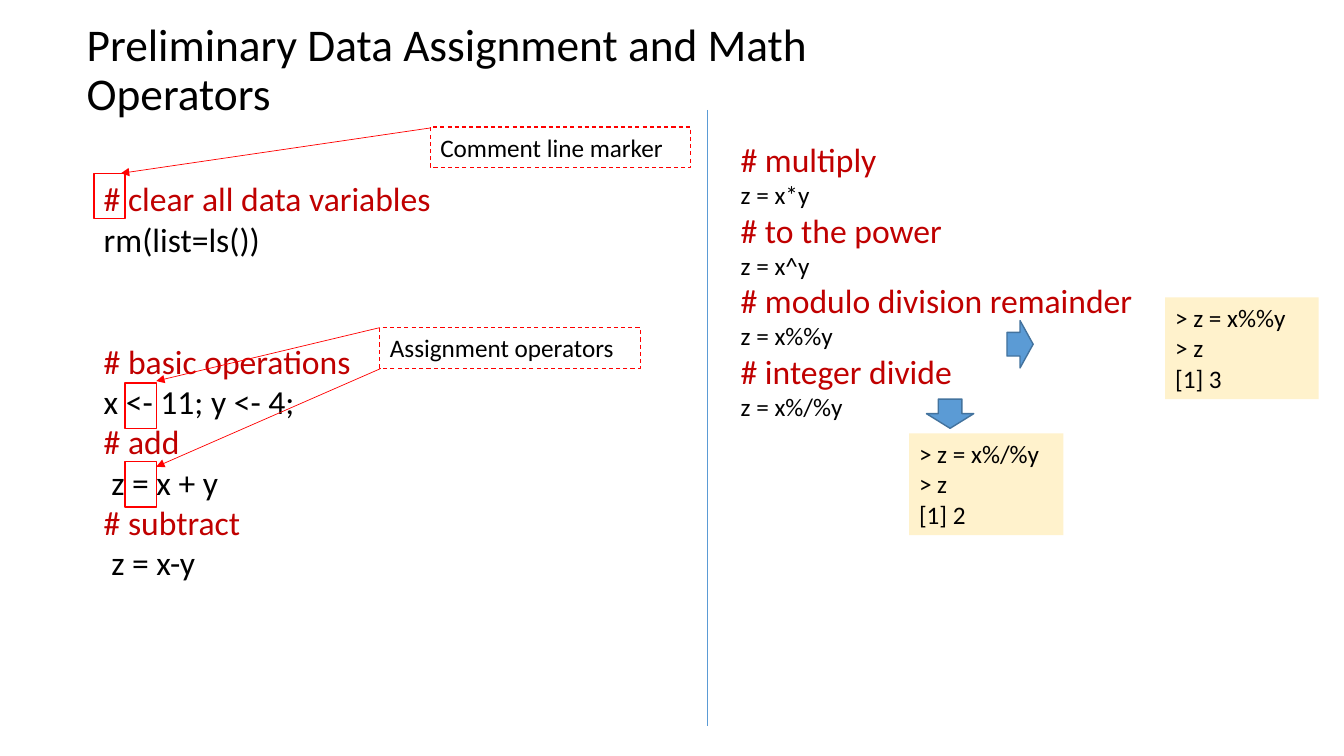
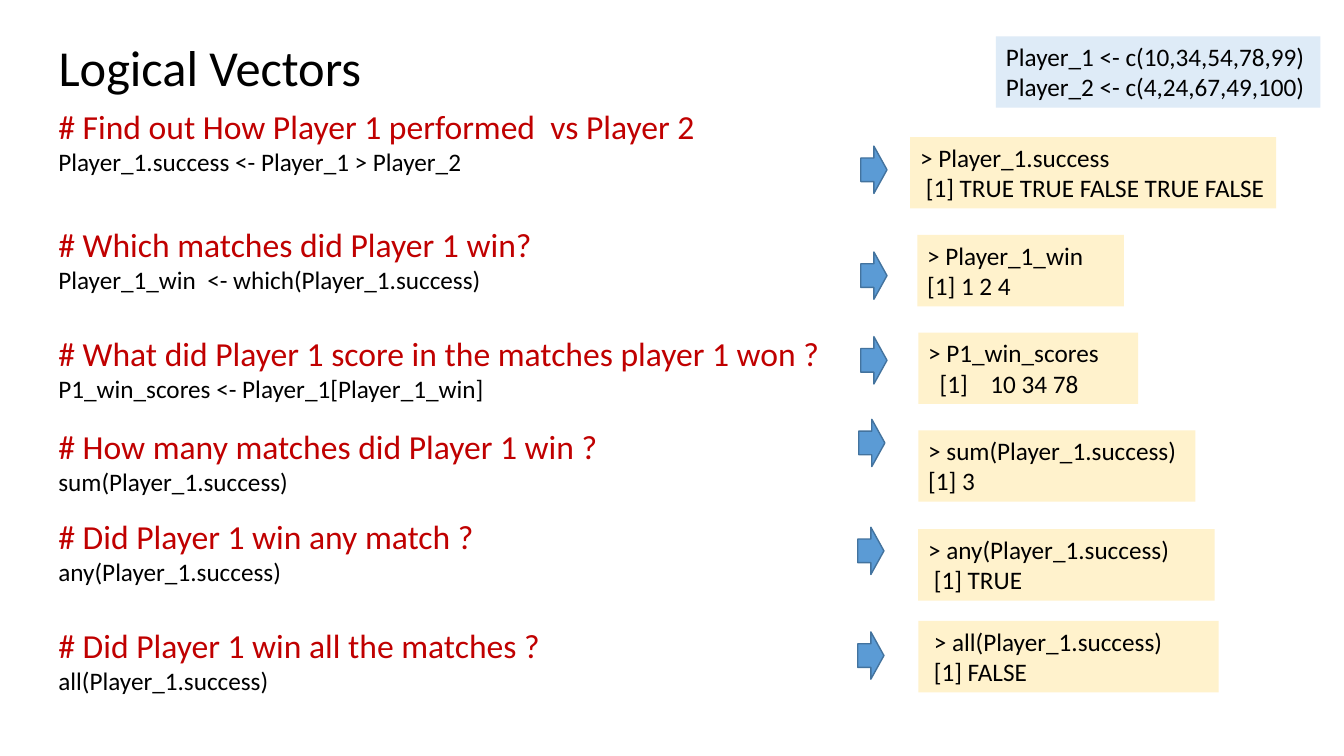
import pptx
import pptx.util
import pptx.dml.color
import pptx.enum.dml
import pptx.enum.shapes
import pptx.enum.text
import pptx.oxml

Pt = pptx.util.Pt
Shape = pptx.enum.shapes.MSO_SHAPE
FONT = "Calibri"
BLACK, NOTE, RED = "000000", "C00000", "FF0000"
BLUE, EDGE = "5B9BD5", "43739E"
CREAM, PALE = "FFF2CC", "DEEBF7"
ARROW = (18.7, 33.8)

# Slide 1: (left, top, width, height), code size, lines
BLOCKS = [
    ((67, 123.8, 480, 65.5), 24, ["# clear all data variables ", "rm(list=ls())"]),
    ((67, 239.8, 480, 181.4), 24, [
        "# basic operations", "x <- 11; y <- 4;", "# add", " z = x + y",
        "# subtract", " z = x-y "]),
    ((522, 95.8, 312.5, 211), 18, [
        "# multiply ", "z = x*y", "# to the power ", "z = x^y",
        "# modulo division remainder", "z = x%%y",
        "# integer divide ", "z = x%/%y"]),
]
MARKS = [(67, 123.8), (89.3, 273.6), (89.3, 329.8)]
LABELS = [(307.4, 90.7, "Comment line marker "),
          (271.4, 234, "Assignment operators")]
LEADS = [(307.4, 91.4, 86.4, 123.8), (271.4, 234, 111.6, 272.2),
         (271.4, 263.5, 111.6, 333.4)]
RESULTS = [((832.3, 212.4, 109.6, 72.7), ["> z = x%%y", "> z", "[1] 3"]),
           ((649.4, 309.6, 110.2, 72.7), ["> z = x%/%y", "> z", "[1] 2"])]

# Slide 2
DATA = ["Player_1 <- c(10,34,54,78,99)", "Player_2 <- c(4,24,67,49,100)"]
# (top, width, lines), (arrow left, top), (output left, top, width, lines)
ROWS = [
    ((72, 480, ["# Find out How Player 1 performed  vs Player 2 ",
                "Player_1.success <- Player_1 > Player_2"]),
     (614.9, 104.4),
     (650.2, 97.9, 261.4, ["> Player_1.success",
                           " [1] TRUE TRUE FALSE TRUE FALSE"])),
    ((156.2, 436.3, ["# Which matches did Player 1 win? ",
                     "Player_1_win  <- which(Player_1.success)"]),
     (614.9, 180),
     (655.2, 167.8, 147.6, ["> Player_1_win ", "[1] 1 2 4"])),
    ((234, 560.2, ["# What did Player 1 score in the matches player 1 won ?",
                   "P1_win_scores <- Player_1[Player_1_win]"]),
     (614.9, 240.5),
     (655.9, 237.6, 157, ["> P1_win_scores", "  [1]    10 34 78"])),
    ((301, 480, ["# How many matches did Player 1 win ?",
                 "sum(Player_1.success)"]),
     (613.4, 299.5),
     (655.9, 307.4, 198, ["> sum(Player_1.success) ", "[1] 3"])),
    ((365, 480, ["# Did Player 1 win any match ?", "any(Player_1.success)"]),
     (612.7, 376.6),
     (655.9, 378, 211.7, ["> any(Player_1.success)", " [1] TRUE"])),
    ((442.8, 480, ["# Did Player 1 win all the matches ?",
                   "all(Player_1.success)"]),
     (612.7, 451.4),
     (655.9, 443.5, 214.6, [" > all(Player_1.success)", " [1] FALSE"])),
]


def color(code):
    """Turn a hex string into a colour."""
    return pptx.dml.color.RGBColor.from_string(code)


def style(par, size, ink):
    """Set the font and left alignment of a paragraph."""
    par.alignment = pptx.enum.text.PP_ALIGN.LEFT
    par.font.name = FONT
    par.font.size = Pt(size)
    par.font.color.rgb = color(ink)


def write(shape, lines, size=18):
    """Fill a shape with lines; comment lines are large and red."""
    frame = shape.text_frame
    frame.word_wrap = True
    frame.auto_size = pptx.enum.text.MSO_AUTO_SIZE.SHAPE_TO_FIT_TEXT
    frame.vertical_anchor = pptx.enum.text.MSO_ANCHOR.TOP
    frame.text = "\n".join(lines)
    for par, line in zip(frame.paragraphs, lines):
        if line.startswith("#"):
            style(par, 24, NOTE)
        else:
            style(par, size, BLACK)


def start(deck, text, left, top, size):
    """Add a slide with its title."""
    slide = deck.slides.add_slide(deck.slide_layouts[5])
    title = slide.shapes.title
    title.left, title.top, title.width, title.height = map(
        Pt, (left, top, 660, 54))
    frame = title.text_frame
    frame.text = text
    frame.word_wrap = True
    frame.auto_size = pptx.enum.text.MSO_AUTO_SIZE.NONE
    frame.vertical_anchor = pptx.enum.text.MSO_ANCHOR.MIDDLE
    par = frame.paragraphs[0]
    par.line_spacing = 0.9
    style(par, size, BLACK)
    return slide.shapes


def code(shapes, box, lines, size=18):
    """Add a text box of code."""
    write(shapes.add_textbox(*map(Pt, box)), lines, size)


def draw(shapes, kind, box, fill=None, line=None, width=1):
    """Add a preset shape with an optional fill and outline."""
    shape = shapes.add_shape(kind, *map(Pt, box))
    shape.shadow.inherit = False
    if fill:
        shape.fill.solid()
        shape.fill.fore_color.rgb = color(fill)
    else:
        shape.fill.background()
    if line:
        shape.line.color.rgb = color(line)
        shape.line.width = Pt(width)
    else:
        shape.line.fill.background()
    return shape


def panel(shapes, box, lines, fill=CREAM):
    """Add a filled box of console text."""
    write(draw(shapes, Shape.RECTANGLE, box, fill), lines)


def arrow(shapes, left, top, size=ARROW, turn=0):
    """Add a block arrow."""
    shape = draw(shapes, Shape.RIGHT_ARROW, (left, top, *size), BLUE, EDGE)
    shape.rotation = turn


def link(shapes, ends, ink, head=False):
    """Add a thin straight line, with an arrowhead if asked."""
    line = shapes.add_connector(
        pptx.enum.shapes.MSO_CONNECTOR.STRAIGHT, *map(Pt, ends))
    line.line.color.rgb = color(ink)
    line.line.width = Pt(0.5)
    space = pptx.oxml.ns.nsdecls("a")
    if head:
        line.get_or_add_ln().append(pptx.oxml.parse_xml(
            f'<a:tailEnd {space} type="triangle"/>'))
    line.element.spPr.append(pptx.oxml.parse_xml(f"<a:effectLst {space}/>"))


def maths(deck):
    """Build the slide on assignment and operators."""
    shapes = start(deck, "Preliminary Data Assignment and Math Operators",
                   54.7, 23.8, 32.4)
    for box, size, lines in BLOCKS:
        code(shapes, box, lines, size)
    for left, top in MARKS:
        draw(shapes, Shape.RECTANGLE, (left, top, 22.3, 32.4), line=RED)
    for left, top, text in LABELS:
        label = draw(shapes, Shape.RECTANGLE, (left, top, 185.8, 29),
                     line=RED, width=0.75)
        label.line.dash_style = pptx.enum.dml.MSO_LINE.DASH
        write(label, [text])
    for ends in LEADS:
        link(shapes, ends, RED, head=True)
    link(shapes, (505.4, 78.5, 505.4, 518.4), BLUE)
    for box, lines in RESULTS:
        panel(shapes, box, lines)
    arrow(shapes, 719.3, 229)
    arrow(shapes, 668.2, 278.6, (20.9, 33.8), 90)


def logic(deck):
    """Build the slide on logical vectors."""
    shapes = start(deck, "Logical Vectors", 34.6, 23, 36)
    panel(shapes, (711.4, 25.9, 231.8, 51), DATA, PALE)
    for (top, width, lines), spot, (left, high, wide, shown) in ROWS:
        code(shapes, (34.6, top, width, 58.3), lines)
        arrow(shapes, *spot)
        panel(shapes, (left, high, wide, 51), shown)


def main():
    """Build and save the deck."""
    deck = pptx.Presentation()
    deck.slide_width, deck.slide_height = Pt(960), Pt(540)
    maths(deck)
    logic(deck)
    deck.save("out.pptx")


main()
